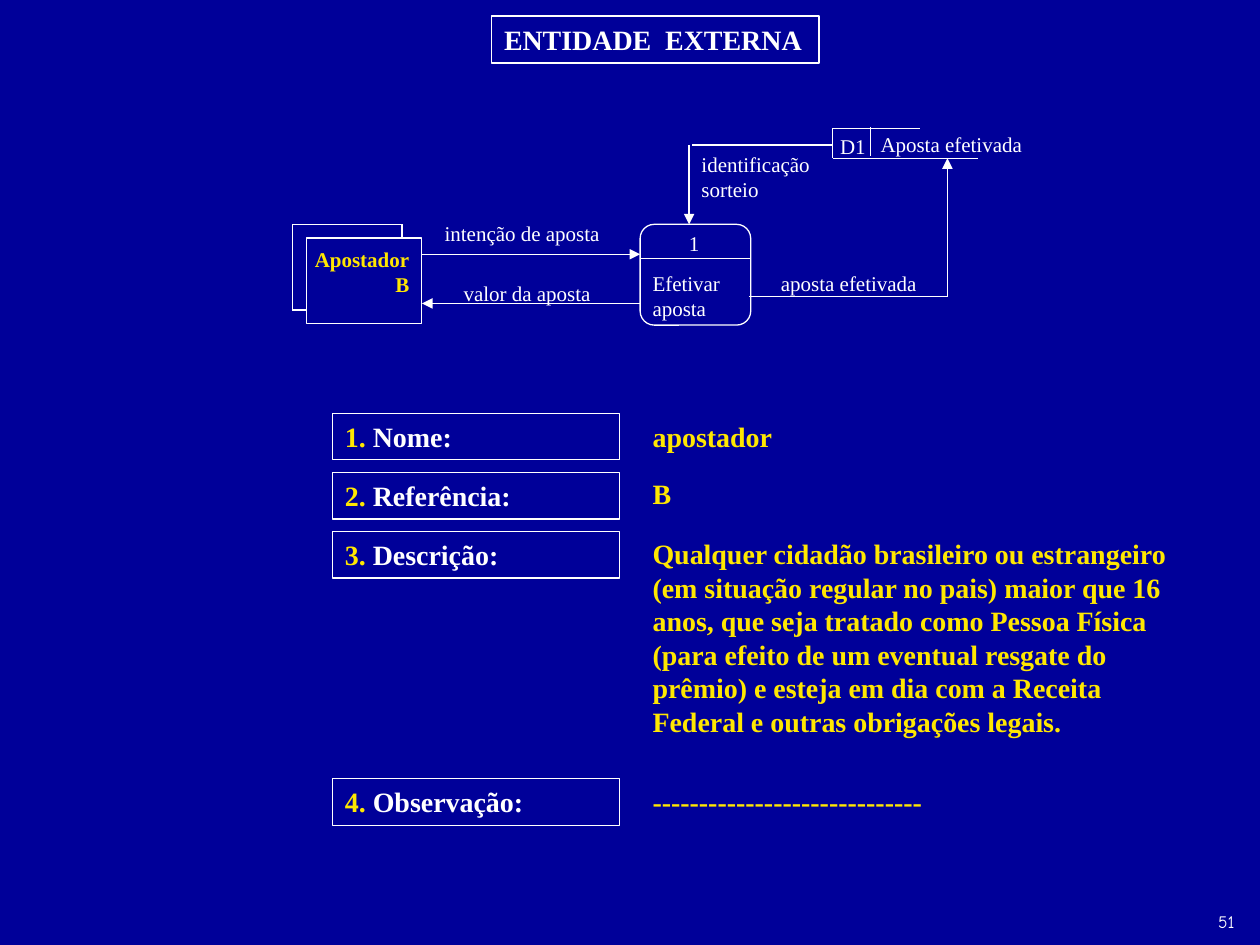
from lxml.etree import SubElement
from pptx import Presentation
from pptx.dml.color import RGBColor
from pptx.enum.shapes import MSO_CONNECTOR, MSO_SHAPE
from pptx.enum.text import MSO_ANCHOR, MSO_AUTO_SIZE, PP_ALIGN
from pptx.oxml.ns import qn
from pptx.util import Pt

BLUE = RGBColor(0x00, 0x00, 0x99)
WHITE = RGBColor(0xFF, 0xFF, 0xFF)
YELLOW = RGBColor(0xFF, 0xE7, 0x01)
SERIF = "Times New Roman"
LINE_WIDTH = 0.74

FIELDS = [
    ("1.", " Nome:", "apostador", 236.2, 236.2, 176),
    ("2.", " Referência:", "B", 270, 268.6, 176),
    ("3.", " Descrição:",
     "Qualquer cidadão brasileiro ou estrangeiro (em situação regular no pais) "
     "maior que 16 anos, que seja tratado como Pessoa Física (para efeito de um "
     "eventual resgate do prêmio) e esteja em dia com a Receita Federal e outras "
     "obrigações legais.", 303.8, 303.1, 317.5),
    ("4.", " Observação:", "-" * 29, 445, 445, 176),
]
DIAGRAM_LABELS = [
    ("aposta efetivada", 439.2, 151.2, 102),
    ("Aposta efetivada", 496.1, 71.5, 113),
    ("D1", 473, 72.7, 35.3),
    ("Efetivar aposta", 365.8, 151.2, 64.8),
    ("1", 386.6, 128.2, 30.2),
    ("valor da aposta", 257.8, 157, 118.8),
    ("identificação sorteio", 393.8, 82.8, 90.7),
    ("intenção de aposta", 247, 122.4, 118.8),
]
PLAIN_LINES = [
    (229.7, 128.2, 167, 128.2),
    (167, 128.2, 167, 177.1),
    (167, 177.1, 175, 177.1),
    (229.7, 128.2, 229.7, 136.1),
    (475.9, 90.5, 558.7, 90.5),
    (475.9, 90.5, 475.9, 73.4),
    (475.9, 73.4, 525.6, 73.4),
    (497.5, 72.7, 497.5, 89.3),
    (365.8, 147.6, 429, 147.6),
    (475.2, 82.8, 395.3, 82.8),
    (428, 169.6, 541.4, 169.6),
]
ARROWS = [
    (393.8, 82.8, 393.8, 128.2),
    (541.4, 169.6, 541.4, 90.5),
    (241.2, 145.3, 365.8, 145.3),
    (365.8, 173.4, 241.2, 173.4),
]


def format_text(shape, size, colors, bold=False, font=SERIF, align=PP_ALIGN.LEFT):
    """Format a shape's runs, giving the run colours in order."""
    frame = shape.text_frame
    frame.word_wrap = True
    frame.auto_size = MSO_AUTO_SIZE.NONE
    frame.vertical_anchor = MSO_ANCHOR.TOP
    frame.margin_left = frame.margin_right = Pt(7.2)
    frame.margin_top = frame.margin_bottom = Pt(3.6)
    for paragraph in frame.paragraphs:
        paragraph.alignment = align
        for index, run in enumerate(paragraph.runs):
            run.font.name = font
            run.font.size = Pt(size)
            run.font.bold = bold
            run.font.color.rgb = colors[min(index, len(colors) - 1)]


def outline(shape):
    """Give a shape a thin white line and no fill."""
    shape.fill.background()
    shape.line.color.rgb = WHITE
    shape.line.width = Pt(LINE_WIDTH)


def add_text(slide, text, left, top, width, height, size, color, **style):
    """Add a formatted text box."""
    box = slide.shapes.add_textbox(Pt(left), Pt(top), Pt(width), Pt(height))
    box.text_frame.text = text
    format_text(box, size, [color], **style)


def add_box(slide, kind, left, top, width, height):
    """Add an outlined preset shape."""
    box = slide.shapes.add_shape(kind, Pt(left), Pt(top), Pt(width), Pt(height))
    box.shadow.inherit = False
    outline(box)
    return box


def add_line(slide, points, arrow=False):
    """Add a straight white line, with an arrowhead at its end if asked."""
    line = slide.shapes.add_connector(MSO_CONNECTOR.STRAIGHT, *map(Pt, points))
    line.line.color.rgb = WHITE
    line.line.width = Pt(LINE_WIDTH)
    if arrow:
        SubElement(line.line._get_or_add_ln(), qn("a:tailEnd"), type="triangle")
    SubElement(line._element.spPr, qn("a:effectLst"))


def add_title(slide):
    """Place and format the title."""
    title = slide.shapes.title
    title.left, title.top, title.width, title.height = map(Pt, (280.8, 9.2, 187.2, 26.8))
    title.text_frame.text = "ENTIDADE  EXTERNA"
    format_text(title, 16, [WHITE], bold=True)
    outline(title)


def add_field(slide, number, name, value, label_top, value_top, value_width):
    """Add a boxed field name and its value."""
    label = add_box(slide, MSO_SHAPE.RECTANGLE, 190, label_top, 164.2, 26.6)
    paragraph = label.text_frame.paragraphs[0]
    for text in (number, name):
        paragraph.add_run().text = text
    format_text(label, 16, [YELLOW, WHITE], bold=True)
    height = 122.4 if value_width > 176 else 26.6
    add_text(slide, value, 365.8, value_top, value_width, height, 16, YELLOW, bold=True)


def add_diagram(slide):
    """Draw the data flow between the entity, the process and the store."""
    add_box(slide, MSO_SHAPE.RECTANGLE, 175, 136.1, 65.9, 48.8)
    process = add_box(slide, MSO_SHAPE.ROUNDED_RECTANGLE, 365.8, 128.2, 63.2, 57.6)
    process.adjustments[0] = 0.14
    add_text(slide, "Apostador\nB", 165, 137.5, 76, 36, 12, YELLOW,
             bold=True, align=PP_ALIGN.RIGHT)
    for text, left, top, width in DIAGRAM_LABELS:
        height = 36 if text in ("Efetivar aposta", "identificação sorteio") else 21.6
        add_text(slide, text, left, top, width, height, 12, WHITE)
    for points in PLAIN_LINES:
        add_line(slide, points)
    for points in ARROWS:
        add_line(slide, points, arrow=True)


def main():
    """Build and save the slide."""
    presentation = Presentation()
    presentation.slide_width, presentation.slide_height = Pt(720), Pt(540)
    slide = presentation.slides.add_slide(presentation.slide_layouts[5])
    slide.background.fill.solid()
    slide.background.fill.fore_color.rgb = BLUE
    add_title(slide)
    for field in FIELDS:
        add_field(slide, *field)
    add_text(slide, "51", 689, 517, 28.1, 19.4, 10, WHITE, font="Comic Neue")
    add_diagram(slide)
    presentation.save("out.pptx")


main()
